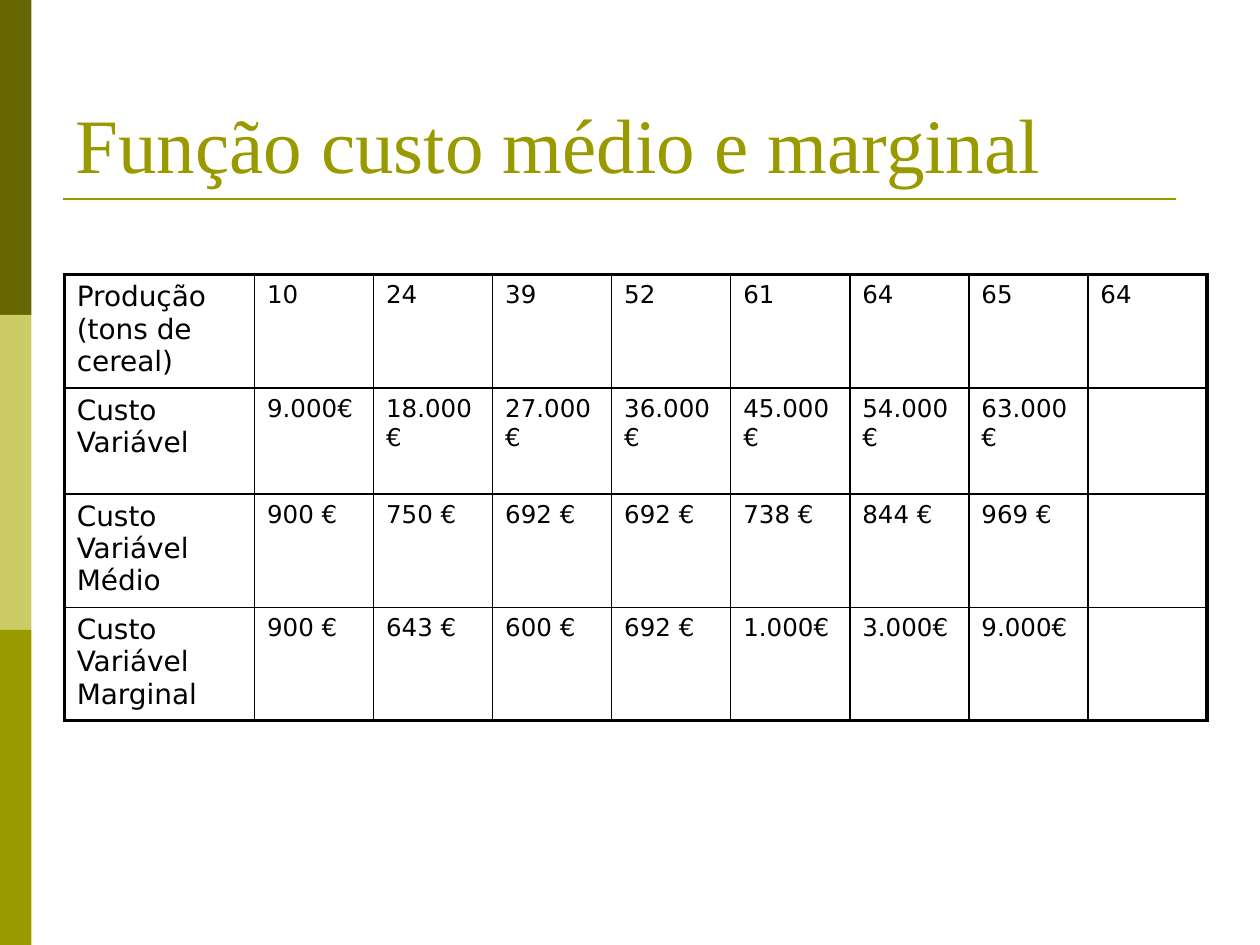
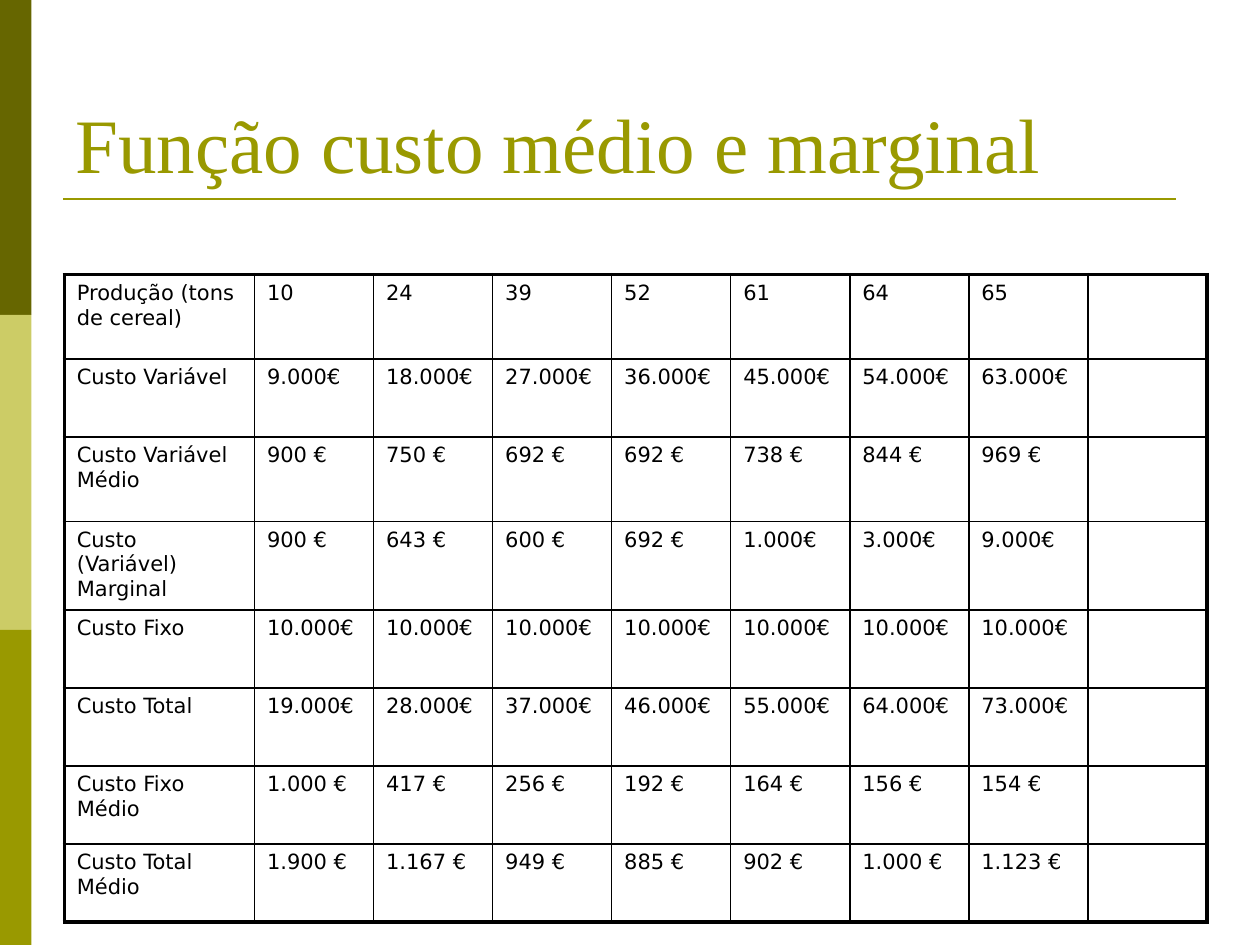
from dataclasses import dataclass

from lxml import etree
from pptx import Presentation, util as u
from pptx.dml.color import RGBColor
from pptx.enum import shapes, text
from pptx.oxml.ns import qn

TITLE = "Função custo médio e marginal"

# Values shared by both tables
TONS = ["10", "24", "39", "52", "61", "64", "65"]
VARIABLE = ["9.000€", "18.000€", "27.000€", "36.000€", "45.000€", "54.000€", "63.000€"]
AVERAGE = ["900 €", "750 €", "692 €", "692 €", "738 €", "844 €", "969 €"]
MARGINAL = ["900 €", "643 €", "600 €", "692 €", "1.000€", "3.000€", "9.000€"]

# Each table: label size, value size, rows of (height, label, values)
TABLES = [
    (16, 14, [
        (0.84, "Produção (tons de cereal)", TONS + ["64"]),
        (0.84, "Custo Variável", VARIABLE),
        (0.84, "Custo Variável Médio", AVERAGE),
        (0.84, "Custo Variável Marginal", MARGINAL),
    ]),
    (12, 12, [
        (0.67, "Produção (tons de cereal)", TONS),
        (0.62, "Custo Variável", VARIABLE),
        (0.67, "Custo Variável Médio", AVERAGE),
        (0.67, "Custo (Variável) Marginal", MARGINAL),
        (0.62, "Custo Fixo", ["10.000€"] * 7),
        (0.62, "Custo Total", ["19.000€", "28.000€", "37.000€", "46.000€",
                               "55.000€", "64.000€", "73.000€"]),
        (0.62, "Custo Fixo Médio", ["1.000 €", "417 €", "256 €", "192 €",
                                    "164 €", "156 €", "154 €"]),
        (0.62, "Custo Total Médio", ["1.900 €", "1.167 €", "949 €", "885 €",
                                     "902 €", "1.000 €", "1.123 €"]),
    ]),
]


@dataclass(frozen=True)
class Theme:
    bands: tuple = ("666600", "CCCC66", "999900")
    accent: str = "999900"
    ink: str = "000000"
    head: str = "Times New Roman"
    body: str = "DejaVu Sans"
    title: int = 44
    rule: float = 1.5
    thin: float = 1
    thick: float = 2.25


THEME = Theme()
WIDE, HIGH = 10, 7.5
BAND = WIDE / 40
LEFT, TOP = 0.51, 2.18
FIRST, REST, COLS = 1.51, 0.945, 9


def inch(*sizes):
    return [u.Inches(size) for size in sizes]


def style(para, font, size, color):
    for run in para.runs:
        run.font.name = font
        run.font.size = u.Pt(size)
        run.font.color.rgb = RGBColor.from_string(color)


def frame(slide):
    """Draw the side bands, the title and the rule below it."""
    part = HIGH / len(THEME.bands)
    for i, color in enumerate(THEME.bands):
        band = slide.shapes.add_shape(shapes.MSO_SHAPE.RECTANGLE,
                                      *inch(0, i * part, BAND, part))
        band.shadow.inherit = False
        band.fill.solid()
        band.fill.fore_color.rgb = RGBColor.from_string(color)
        band.line.fill.background()

    rule = slide.shapes.add_connector(shapes.MSO_CONNECTOR.STRAIGHT,
                                      *inch(0.5, 1.58, 9.33, 1.58))
    rule.line.color.rgb = RGBColor.from_string(THEME.accent)
    rule.line.width = u.Pt(THEME.rule)
    etree.SubElement(rule._element.spPr, qn("a:effectLst"))

    title = slide.shapes.add_textbox(*inch(0.5, 0.3, 9, 1.25)).text_frame
    title.word_wrap = True
    title.vertical_anchor = text.MSO_ANCHOR.BOTTOM
    title.text = TITLE
    style(title.paragraphs[0], THEME.head, THEME.title, THEME.accent)


def edge(cell, side, width):
    line = etree.SubElement(cell._tc.get_or_add_tcPr(), qn(f"a:ln{side}"),
                            w=str(u.Pt(width)))
    fill = etree.SubElement(line, qn("a:solidFill"))
    etree.SubElement(fill, qn("a:srgbClr"), val=THEME.ink)


def space(para, share):
    """Set the space before as a share of the line."""
    gap = etree.SubElement(para._p.get_or_add_pPr(), qn("a:spcBef"))
    etree.SubElement(gap, qn("a:spcPct"), val=str(int(share * 100000)))


def grid(slide, label, value, rows):
    """Draw a cost table with a heavy outer border."""
    wide = FIRST + REST * (COLS - 1)
    high = sum(row[0] for row in rows)
    table = slide.shapes.add_table(len(rows), COLS,
                                   *inch(LEFT, TOP, wide, high)).table
    table.first_row = table.horz_banding = False
    for c, col in enumerate(table.columns):
        col.width = u.Inches(REST if c else FIRST)

    for r, (tall, name, values) in enumerate(rows):
        table.rows[r].height = u.Inches(tall)
        words = [name, *values]
        for c in range(COLS):
            cell = table.cell(r, c)
            outer = {"L": c == 0, "R": c == COLS - 1,
                     "T": r == 0, "B": r == len(rows) - 1}
            for side, heavy in outer.items():
                edge(cell, side, THEME.thick if heavy else THEME.thin)
            cell.fill.background()
            if c < len(words):
                cell.text_frame.text = words[c]
                para = cell.text_frame.paragraphs[0]
                space(para, 0.2)
                style(para, THEME.body, value if c else label, THEME.ink)


def main():
    deck = Presentation()
    deck.slide_width, deck.slide_height = inch(WIDE, HIGH)
    for label, value, rows in TABLES:
        slide = deck.slides.add_slide(deck.slide_layouts[6])
        frame(slide)
        grid(slide, label, value, rows)
    deck.save("out.pptx")


if __name__ == "__main__":
    main()
